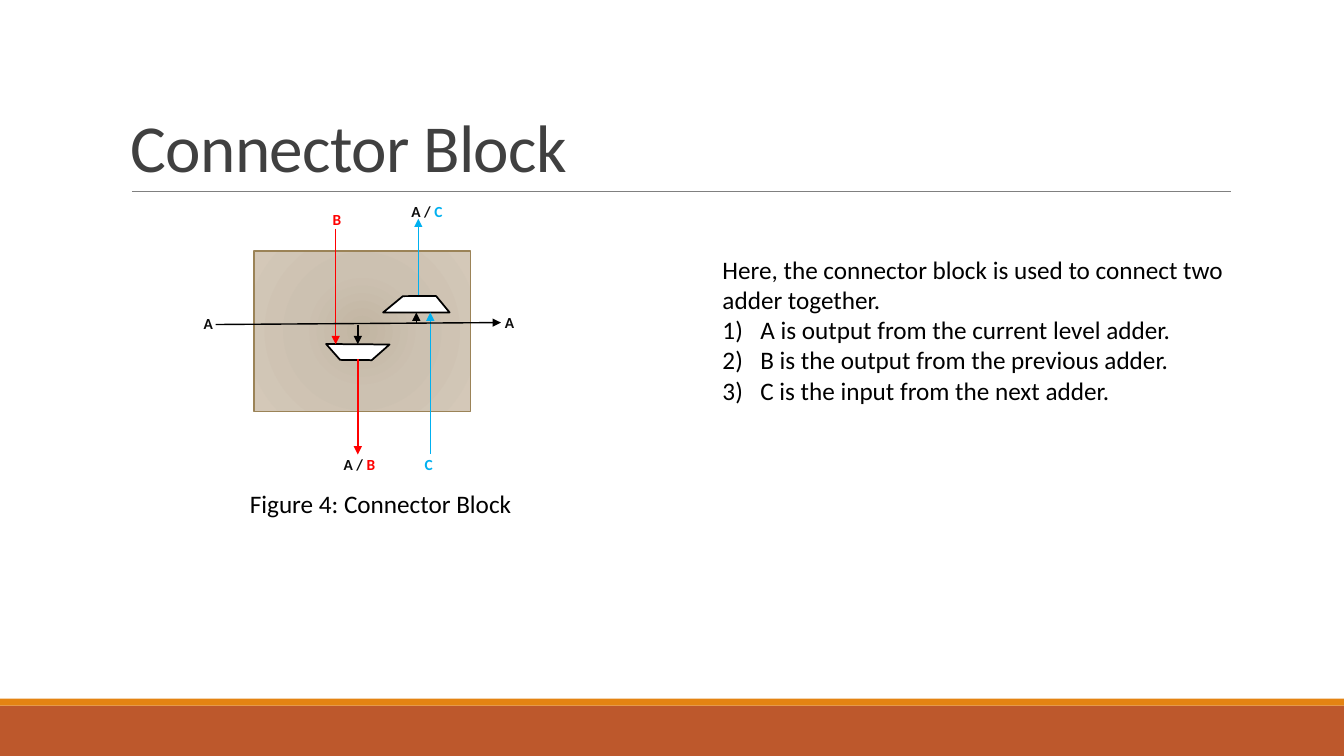
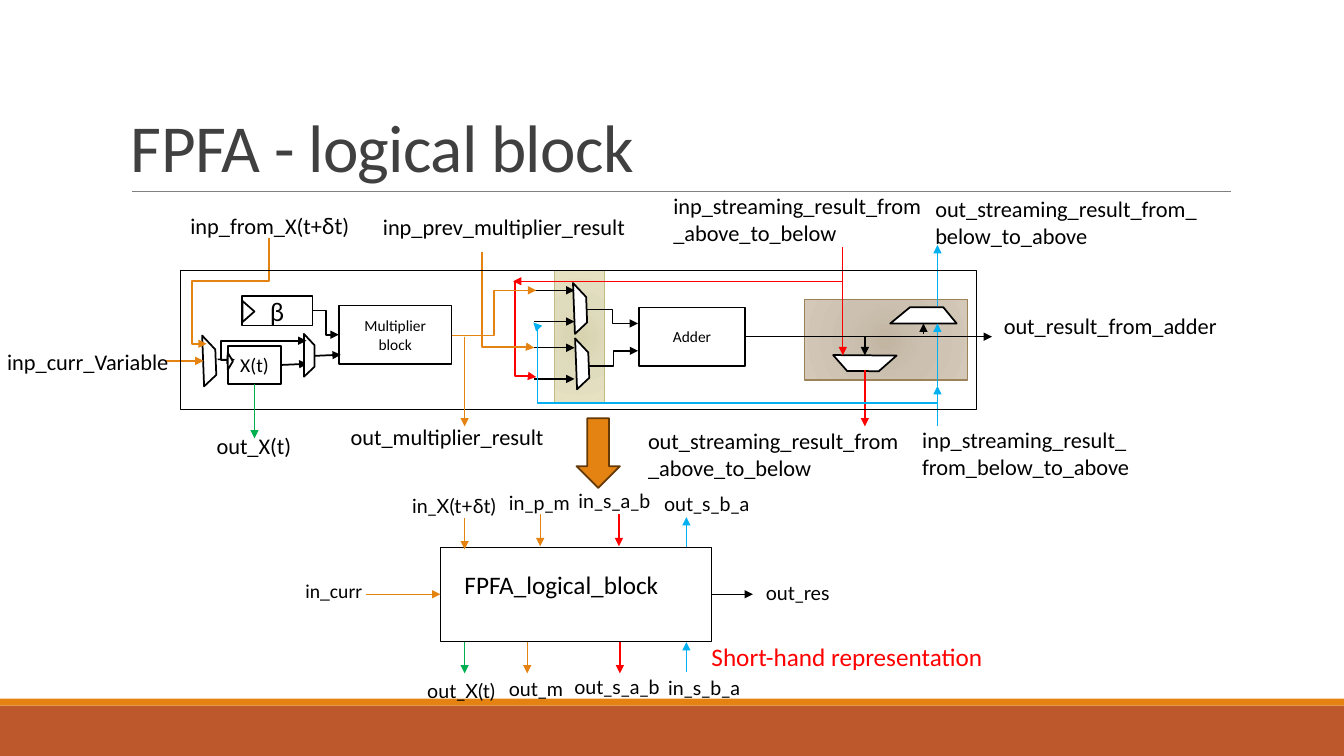
from dataclasses import dataclass
from typing import NamedTuple

from lxml.etree import SubElement
from pptx import Presentation
from pptx.dml.color import RGBColor
from pptx.enum.shapes import MSO_CONNECTOR, MSO_SHAPE
from pptx.enum.text import MSO_ANCHOR, PP_ALIGN
from pptx.oxml.ns import qn
from pptx.util import Pt


@dataclass(frozen=True)
class Theme:
    font: str = "Calibri"
    alt_font: str = "Lato"
    title: str = "404040"
    rule: str = "808080"
    band: str = "BD582C"
    accent: str = "E48312"
    accent_edge: str = "643908"
    black: str = "000000"
    label: str = "0D0D0D"
    white: str = "FFFFFF"
    red: str = "FF0000"
    blue: str = "00B0F0"
    green: str = "00B050"
    tan: tuple = ("C2B5A2", "CCC1B1", "D4C8B8")
    tan_edge: str = "9B8357"
    olive: tuple = ("D7D3AF", "DFDBBD", "E5E1C1")
    olive_edge: str = "C2BC80"
    title_size: float = 48
    body_size: float = 18
    signal_size: float = 16
    port_size: float = 14
    small_size: float = 11


class Span(NamedTuple):
    text: str
    color: str = ""
    font: str = ""


THEME = Theme()


class Deck:
    def __init__(self, theme):
        self.theme = theme
        self.presentation = Presentation()
        self.presentation.slide_width = Pt(960)
        self.presentation.slide_height = Pt(540)
        self.page = None

    def open_page(self, title):
        """Start a slide with the shared bands, title and rule."""
        theme = self.theme
        self.page = self.presentation.slides.add_slide(self.presentation.slide_layouts[6])
        self.box((0, 504, 960, 36), theme.band, None)
        self.box((0, 499, 960, 5), theme.accent, None)
        self.arrow((94.3, 136.8), (879, 136.8), theme.rule, 0.5, head=False)
        heading = self.text((86.4, 22.3, 792, 114.5), [title], theme.title_size, theme.title)
        heading.text_frame.vertical_anchor = MSO_ANCHOR.BOTTOM
        para = heading.text_frame.paragraphs[0]
        para.line_spacing = 0.85
        para.runs[0]._r.get_or_add_rPr().set("spc", "-50")

    def box(self, frame, fill=None, line=THEME.black, weight=1.25, kind=MSO_SHAPE.RECTANGLE, turn=0):
        """Fill is a colour, a tuple of three radial stops, or None."""
        shape = self.page.shapes.add_shape(kind, *map(Pt, frame))
        shape.shadow.inherit = False
        shape.rotation = turn
        if isinstance(fill, tuple):
            self.radial_fill(shape, fill)
        elif fill:
            shape.fill.solid()
            shape.fill.fore_color.rgb = RGBColor.from_string(fill)
        else:
            shape.fill.background()
        if line:
            shape.line.color.rgb = RGBColor.from_string(line)
            shape.line.width = Pt(weight)
        else:
            shape.line.fill.background()
        return shape

    def radial_fill(self, shape, colors):
        properties = shape._element.spPr
        gradient = SubElement(properties, qn("a:gradFill"))
        stops = SubElement(gradient, qn("a:gsLst"))
        for position, color in zip((0, 45000, 100000), colors):
            stop = SubElement(stops, qn("a:gs"), pos=str(position))
            SubElement(stop, qn("a:srgbClr"), val=color)
        circle = SubElement(gradient, qn("a:path"))
        circle.set("path", "circle")
        SubElement(circle, qn("a:fillToRect"), {side: "100000" for side in "ltrb"})
        properties.find(qn("a:prstGeom")).addnext(gradient)

    def add_spans(self, para, spans, size, color, font="", bold=False):
        for item in spans:
            span = Span(item) if isinstance(item, str) else item
            run = para.add_run()
            run.text = span.text
            run.font.size = Pt(size)
            run.font.bold = bold
            run.font.name = span.font or font or self.theme.font
            run.font.color.rgb = RGBColor.from_string(span.color or color)

    def text(self, frame, spans, size, color=THEME.black, font=""):
        box = self.page.shapes.add_textbox(*map(Pt, frame))
        box.text_frame.word_wrap = True
        self.add_spans(box.text_frame.paragraphs[0], spans, size, color, font)
        return box

    def numbered(self, box, items, size):
        for item in items:
            para = box.text_frame.add_paragraph()
            properties = para._p.get_or_add_pPr()
            properties.set("marL", str(Pt(27)))
            properties.set("indent", str(-Pt(27)))
            SubElement(properties, qn("a:buFont"), typeface="+mj-lt")
            SubElement(properties, qn("a:buAutoNum"), type="arabicParenR")
            self.add_spans(para, [item], size, self.theme.black)

    def tag(self, frame, spans):
        """Small bold signal letter without margins."""
        box = self.page.shapes.add_textbox(*map(Pt, frame))
        words = box.text_frame
        words.word_wrap = True
        words.margin_left = words.margin_right = words.margin_top = words.margin_bottom = 0
        words.paragraphs[0].line_spacing = 1.07
        self.add_spans(words.paragraphs[0], spans, self.theme.small_size, self.theme.label, bold=True)
        return box

    def unit(self, frame, name, size, font=""):
        """White rectangle with a centred name."""
        shape = self.box(frame, self.theme.white)
        words = shape.text_frame
        words.word_wrap = True
        words.vertical_anchor = MSO_ANCHOR.MIDDLE
        words.paragraphs[0].alignment = PP_ALIGN.CENTER
        self.add_spans(words.paragraphs[0], [name], size, self.theme.black, font)
        return shape

    def mux(self, center, size, turn):
        """Trapezoid whose long side is centred on the given point."""
        (x, y), (width, height) = center, size
        frame = (x - width / 2, y - height / 2, width, height)
        self.box(frame, self.theme.white, kind=MSO_SHAPE.DIAGONAL_STRIPE, turn=turn)

    def style_line(self, line, color, weight, head=True):
        line.line.color.rgb = RGBColor.from_string(color)
        line.line.width = Pt(weight)
        properties = line._element.spPr
        if head:
            SubElement(properties.find(qn("a:ln")), qn("a:tailEnd"), type="triangle")
        SubElement(properties, qn("a:effectLst"))

    def arrow(self, start, end, color=THEME.black, weight=1, head=True, source=None, target=None):
        """Source and target are (shape, side) pairs to join."""
        line = self.page.shapes.add_connector(MSO_CONNECTOR.STRAIGHT, *map(Pt, (*start, *end)))
        self.style_line(line, color, weight, head)
        if source:
            line.begin_connect(*source)
        if target:
            line.end_connect(*target)
        return line

    def elbow(self, start, end, color=THEME.black, weight=1, bends=(0.5,), vertical=False):
        """Bends are fractions of the way; vertical means the first leg runs down."""
        (x1, y1), (x2, y2) = start, end
        if vertical:
            x, y, dx, dy = (x1 + x2) / 2, (y1 + y2) / 2, x2 - x1, y2 - y1
            x1, y1, x2, y2 = x - dy / 2, y + dx / 2, x + dy / 2, y - dx / 2
        line = self.page.shapes.add_connector(MSO_CONNECTOR.ELBOW, *map(Pt, (x1, y1, x2, y2)))
        line.rotation = 90 if vertical else 0
        geometry = line._element.spPr.find(qn("a:prstGeom"))
        geometry.set("prst", f"bentConnector{len(bends) + 2}")
        guides = geometry.find(qn("a:avLst"))
        for number, bend in enumerate(bends, 1):
            SubElement(guides, qn("a:gd"), name=f"adj{number}", fmla=f"val {round(bend * 100000)}")
        self.style_line(line, color, weight)

    def connector_block(self, body, origin, b_top, out, ab_bottom, c_bottom):
        """Two muxes on a tan body, placed from the lower mux; returns the C arrow."""
        theme, (x, y) = self.theme, origin
        self.box(body, theme.tan, theme.tan_edge, 1)
        self.mux((x, y), (30.2, 33.8), 228.7)
        self.mux((x + 41.8, y - 22.7), (30.2, 36.7), 50.5)
        self.arrow((x, y - 14), (x, y))
        self.arrow((x + 41.8, y - 15.5), (x + 41.8, y - 22.7))
        self.arrow((x - 15.8, b_top), (x - 15.8, y), theme.red)
        self.arrow((out[0], y - 34.9), out, theme.blue)
        self.arrow((x, y + 10.4), (x, ab_bottom), theme.red)
        return self.arrow((x + 51.8, c_bottom), (x + 51.8, y - 22.7), theme.blue)


def connector_page(deck):
    theme = deck.theme
    deck.open_page("Connector Block")
    c_arrow = deck.connector_block((181.4, 179.3, 154.8, 114.5), (255.6, 245.9),
                                   163.4, (298.8, 156.2), 324.7, 324)
    deck.arrow((154.1, 231.8), (357.8, 230.4))
    deck.tag((145.4, 223.2, 8, 13), ["A"])
    deck.tag((360.7, 222.5, 8, 13), ["A"])
    deck.tag((237.6, 149, 8, 13), [Span("B", theme.red)])
    deck.tag((245.5, 324, 28, 12), ["A / ", Span("B", theme.red)])
    deck.tag((293.8, 143.3, 28, 12), ["A / ", Span("C", theme.blue)])
    c_tag = deck.tag((303.4, 324, 8, 13), [Span("C", theme.blue)])
    c_arrow.begin_connect(c_tag, 0)
    story = deck.text((509, 177.8, 411.8, 116.6),
                      ["Here, the connector block is used to connect two adder together."],
                      theme.body_size)
    deck.numbered(story, ["A is output from the current level adder.",
                          "B is the output from the previous adder.",
                          "C is the input from the next adder."], theme.body_size)
    deck.text((171.4, 344.9, 244, 29), ["Figure 4: Connector Block"], theme.body_size)


def draw_datapath(deck):
    theme = deck.theme
    deck.unit((242, 218.2, 80.6, 41.8), "Multiplier block", theme.small_size)
    adder = deck.unit((456.5, 219.6, 75.6, 41.8), "Adder", theme.small_size)
    deck.unit((172.8, 211.7, 50.4, 20.9), "β", theme.body_size, theme.alt_font)
    register = deck.unit((162.7, 247, 38.2, 27.4), "X(t)", theme.port_size)
    deck.elbow((223.9, 221.8), (242, 239.1), weight=1.25)
    deck.arrow((200.9, 260.7), (219.6, 259.9), weight=1.25, source=(register, 3))

    deck.connector_block((574.6, 213.8, 116.6, 57.6), (617.8, 253.8),
                         176.4, (669.6, 175), 304.6, 275.8)
    deck.arrow((532.1, 240.5), (708.5, 240.5), source=(adder, 3))
    deck.arrow((669.6, 304.6), (669.6, 275.8), theme.blue)

    deck.box((396, 193, 36, 95), theme.olive, theme.olive_edge, 1)
    for center in ((411.5, 259.9), (410, 220.3), (145.1, 257.8)):
        deck.mux(center, (23.8, 27.4), 136.8)
    deck.elbow((420.5, 261.4), (455.8, 250.6))
    deck.elbow((419, 221), (455.8, 231.1))
    for y in (207.4, 229.7, 248.4, 270.7):
        deck.arrow((381.6, y), (410.4, y))
    deck.arrow((602, 200.9), (366.5, 200.9), theme.red)
    deck.elbow((367.9, 200.9), (383, 269.3), theme.red, bends=(0.99,), vertical=True)
    deck.elbow((322.6, 239.8), (383, 207.4), theme.accent)
    deck.elbow((669.6, 288), (381, 230.4), theme.blue, bends=(0.99,))
    deck.elbow((344.2, 180), (381.6, 248.4), theme.accent, bends=(0.99,), vertical=True)

    deck.arrow((118.1, 257.8), (145.4, 257.8), theme.accent, 1.25)
    deck.arrow((155.5, 256.7), (167.8, 257))
    for clock in ((169.9, 218.2, 15.1, 8.6), (158.4, 256.3, 12.2, 3.6)):
        deck.box(clock, theme.white, kind=MSO_SHAPE.FLOWCHART_EXTRACT, turn=90)
    deck.elbow((192.2, 169.9), (147.6, 245.5), theme.accent, 1.25, (0.41, 1.24), True)
    deck.box((128.9, 193, 568.8, 99.4), weight=0.75)
    deck.arrow((181.8, 274.4), (181.8, 313.2), theme.green, source=(register, 2))
    deck.arrow((331.9, 240.5), (331.9, 304.6), theme.accent)
    deck.mux((217.1, 253.8), (20.9, 22.3), 136.8)
    deck.elbow((162, 257), (218.9, 243.4), weight=1.25, bends=(-0.07,))
    deck.arrow((224.6, 254.2), (243.4, 253.4), weight=1.25)

    for left, top, width, *spans in (
            (128.9, 148.3, 154.8, "inp_from_X(t+", Span("δt", font=theme.alt_font), ")"),
            (-2, 244.8, 144, "inp_curr_Variable"),
            (266.4, 149, 193.7, "inp_prev_multiplier_result"),
            (473.8, 133.9, 193.7, "inp_streaming_result_from_above_to_below"),
            (661, 136.1, 201.6, "out_streaming_result_from_below_to_above"),
            (709.9, 219.6, 176.4, "out_result_from_adder"),
            (455.8, 301.7, 199.4, "out_streaming_result_from_above_to_below"),
            (651.6, 301, 164.2, "inp_streaming_result_from_below_to_above"),
            (147.6, 305.3, 80.6, "out_X(t)"),
            (243.4, 298.8, 154.1, "out_multiplier_result")):
        deck.text((left, top, width, 26.6), spans, theme.signal_size)


def draw_shorthand(deck):
    theme = deck.theme
    deck.box((411.8, 298.8, 31, 49.7), theme.accent, theme.accent_edge, kind=MSO_SHAPE.DOWN_ARROW)
    block = deck.box((314.6, 391, 193.7, 67), weight=0.75)
    deck.text((324.7, 403.2, 156.2, 29), ["FPFA_logical_block"], theme.body_size)
    deck.text((501.1, 454.3, 212.4, 29), ["Short-hand representation"], theme.body_size, theme.red)
    deck.arrow((261.4, 424.5), (314.6, 424.5), theme.accent, target=(block, 1))
    deck.arrow((508.3, 424.5), (537.8, 424.5), source=(block, 3))
    for x, start, end, color in (
            (331.9, 370, 392.4, theme.accent), (385.9, 367.2, 390.2, theme.accent),
            (442.1, 367.2, 390.2, theme.red), (490.3, 391, 369.4, theme.blue),
            (331.9, 458.6, 481, theme.green), (376.6, 458.6, 481, theme.accent),
            (442.8, 458.6, 481, theme.red), (490.3, 480.2, 458.6, theme.blue)):
        deck.arrow((x, start), (x, end), color)
    deck.text((211, 409.7, 62, 24.5), ["in_curr"], theme.port_size)
    for name, left, top, width in (
            ("in_X(t+δt)", 287.3, 349.2, 79.2), ("in_p_m", 356.4, 347, 62),
            ("in_s_a_b", 406.1, 345.6, 69), ("out_s_b_a", 467.3, 347.8, 80),
            ("out_res", 540, 411.1, 80), ("out_X(t)", 298.1, 481.7, 63.4),
            ("out_m", 356.4, 480.2, 54.7), ("out_s_a_b", 403.2, 478.8, 80),
            ("in_s_b_a", 470.2, 479.5, 69)):
        deck.text((left, top, width, 24.5), [name], theme.port_size, font=theme.alt_font)


def main():
    deck = Deck(THEME)
    connector_page(deck)
    deck.open_page("FPFA - logical block")
    draw_datapath(deck)
    draw_shorthand(deck)
    deck.presentation.save("out.pptx")


if __name__ == "__main__":
    main()
